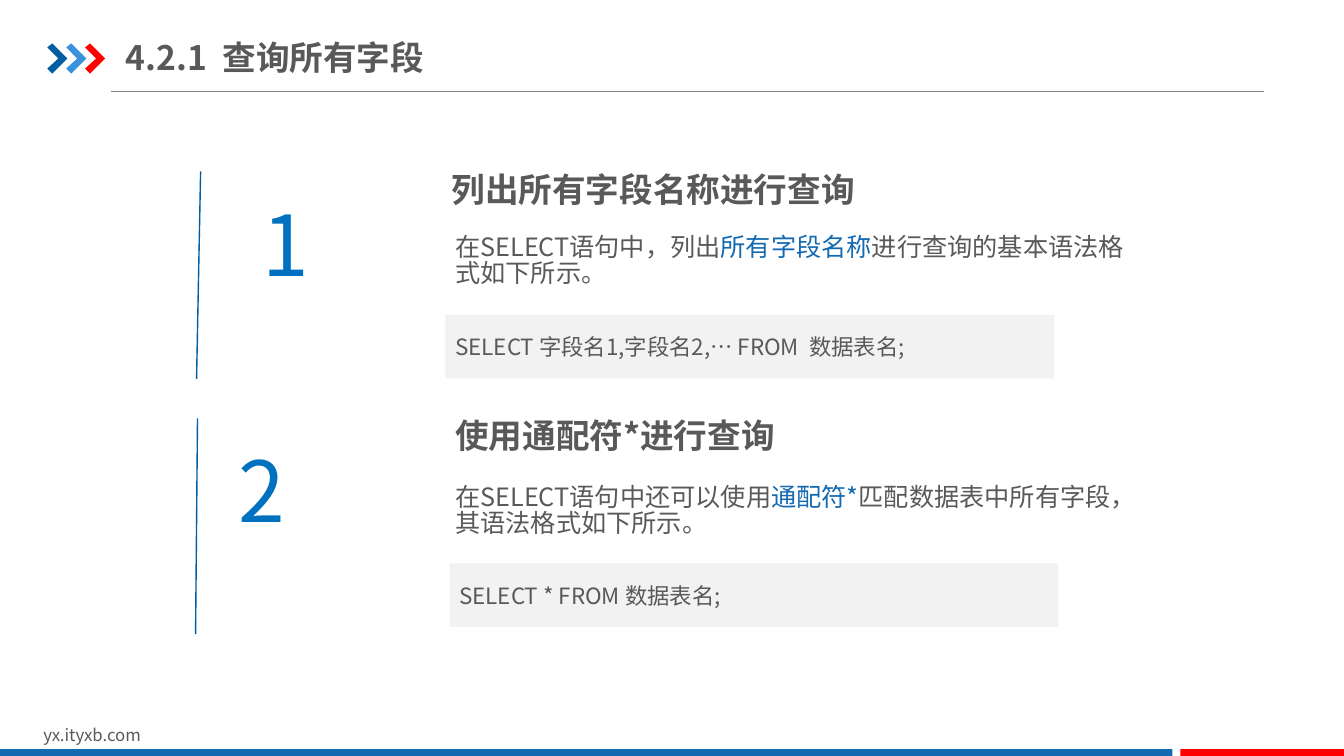
from lxml.etree import SubElement
from pptx import Presentation
from pptx.dml.color import RGBColor
from pptx.enum.shapes import MSO_CONNECTOR, MSO_SHAPE
from pptx.enum.text import MSO_ANCHOR, PP_ALIGN
from pptx.oxml.ns import qn
from pptx.util import Pt

FONT = "Noto Sans CJK SC"
GREY, BLUE, NAVY, RED = "595959", "1369B2", "005DA2", "FF0000"
NUMBER_BLUE, PANEL = "0070C0", "F2F2F2"

TITLE = "4.2.1  查询所有字段"
FOOTER = "yx.ityxb.com"

# Boxes are left, top, width, height; rules are x1, y1, x2, y2 (points).
SECTIONS = [
    {
        "number": ("1", (183.6, 133.9, 94.3, 101.5)),
        "heading": ("列出所有字段名称进行查询", (315.4, 117.4, 322.6, 32.4)),
        "body": ([("在SELECT语句中，列出", GREY), ("所有字段名称", BLUE),
                  ("进行查询的基本语法格式如下所示。", GREY)],
                 (318.2, 165.6, 501.8, 43.2)),
        "code": ("SELECT 字段名1,字段名2,… FROM  数据表名;", (318.2, 224.9)),
        "rule": (143.3, 122.4, 140.4, 270.7),
    },
    {
        "number": ("2", (167, 309.6, 59.8, 105.8)),
        "heading": ("使用通配符*进行查询", (318.2, 293, 265.7, 36)),
        "body": ([("在SELECT语句中还可以使用", GREY), ("通配符*", BLUE),
                  ("匹配数据表中所有字段，其语法格式如下所示。", GREY)],
                 (318.2, 344.2, 517.7, 43.2)),
        "code": ("SELECT * FROM 数据表名;", (321.1, 402.5)),
        "rule": (141.1, 298.8, 139.7, 452.9),
    },
]
CODE_SIZE = (434.9, 45.4)

CHEVRON = [(0, 2.9), (3.6, 0), (14.4, 10.8), (3.6, 21.6), (0, 18), (7.9, 10.8)]
CHEVRON_COLORS = [NAVY, "3992DB", RED]
CHEVRON_LEFT, CHEVRON_TOP, CHEVRON_STEP = 33.8, 31, 13.5

BOTTOM_BARS = [((0, 535, 837.4, 6.5), BLUE), ((843.1, 535, 117.4, 6.5), RED)]


def color(hex_string):
    return RGBColor.from_string(hex_string)


def paint(shape, fill):
    shape.shadow.inherit = False
    shape.fill.solid()
    shape.fill.fore_color.rgb = color(fill)
    shape.line.fill.background()


def write(shape, text, size, text_color=GREY, bold=False, margins=(7.2, 3.6),
          anchor=MSO_ANCHOR.TOP, line_spacing=None):
    """Fill a shape with one paragraph; text is a string or (text, colour) runs."""
    frame = shape.text_frame
    frame.word_wrap = True
    frame.vertical_anchor = anchor
    frame.margin_left = frame.margin_right = Pt(margins[0])
    frame.margin_top = frame.margin_bottom = Pt(margins[1])
    paragraph = frame.paragraphs[0]
    paragraph.alignment = PP_ALIGN.LEFT
    if line_spacing:
        paragraph.line_spacing = Pt(line_spacing)
    runs = [(text, text_color)] if isinstance(text, str) else text
    for words, run_color in runs:
        run = paragraph.add_run()
        run.text = words
        run.font.size = Pt(size)
        run.font.bold = bold
        run.font.color.rgb = color(run_color)
        run.font.name = FONT
        SubElement(run.font._element, qn("a:ea"), typeface=FONT)


def add_text(slide, text, box, **text_format):
    write(slide.shapes.add_textbox(*map(Pt, box)), text, **text_format)


def add_bar(slide, box, fill):
    shape = slide.shapes.add_shape(MSO_SHAPE.RECTANGLE, *map(Pt, box))
    paint(shape, fill)
    return shape


def add_rule(slide, ends, line_color, width):
    line = slide.shapes.add_connector(MSO_CONNECTOR.STRAIGHT, *map(Pt, ends))
    line.line.color.rgb = color(line_color)
    line.line.width = Pt(width)
    SubElement(line._element.spPr, qn("a:effectLst"))


def add_chevron(slide, left, fill):
    points = [(Pt(left + x), Pt(CHEVRON_TOP + y)) for x, y in CHEVRON]
    builder = slide.shapes.build_freeform(*points[0])
    builder.add_line_segments(points[1:], close=True)
    paint(builder.convert_to_shape(), fill)


def add_section(slide, section):
    number, number_box = section["number"]
    add_text(slide, number, number_box, size=60, text_color=NUMBER_BLUE,
             margins=(3.6, 3.6))
    body, body_box = section["body"]
    add_text(slide, body, body_box, size=18, line_spacing=18)
    heading, heading_box = section["heading"]
    add_text(slide, heading, heading_box, size=24, bold=True)
    add_rule(slide, section["rule"], NAVY, 1)
    code, corner = section["code"]
    panel = add_bar(slide, corner + CODE_SIZE, PANEL)
    write(panel, code, size=16, anchor=MSO_ANCHOR.MIDDLE)


def main():
    presentation = Presentation()
    presentation.slide_width, presentation.slide_height = Pt(960), Pt(540)
    slide = presentation.slides.add_slide(presentation.slide_layouts[6])

    add_rule(slide, (79.2, 65.5, 903, 65.5), "808080", 0.75)
    for index, fill in enumerate(CHEVRON_COLORS):
        add_chevron(slide, CHEVRON_LEFT + index * CHEVRON_STEP, fill)
    add_text(slide, FOOTER, (23.8, 514.1, 229, 21.6), size=12)
    for box, fill in BOTTOM_BARS:
        add_bar(slide, box, fill)
    add_text(slide, TITLE, (90, 20.9, 446.4, 39.6), size=24, bold=True,
             margins=(0, 5), anchor=MSO_ANCHOR.MIDDLE)
    for section in SECTIONS:
        add_section(slide, section)

    presentation.save("out.pptx")


if __name__ == "__main__":
    main()
